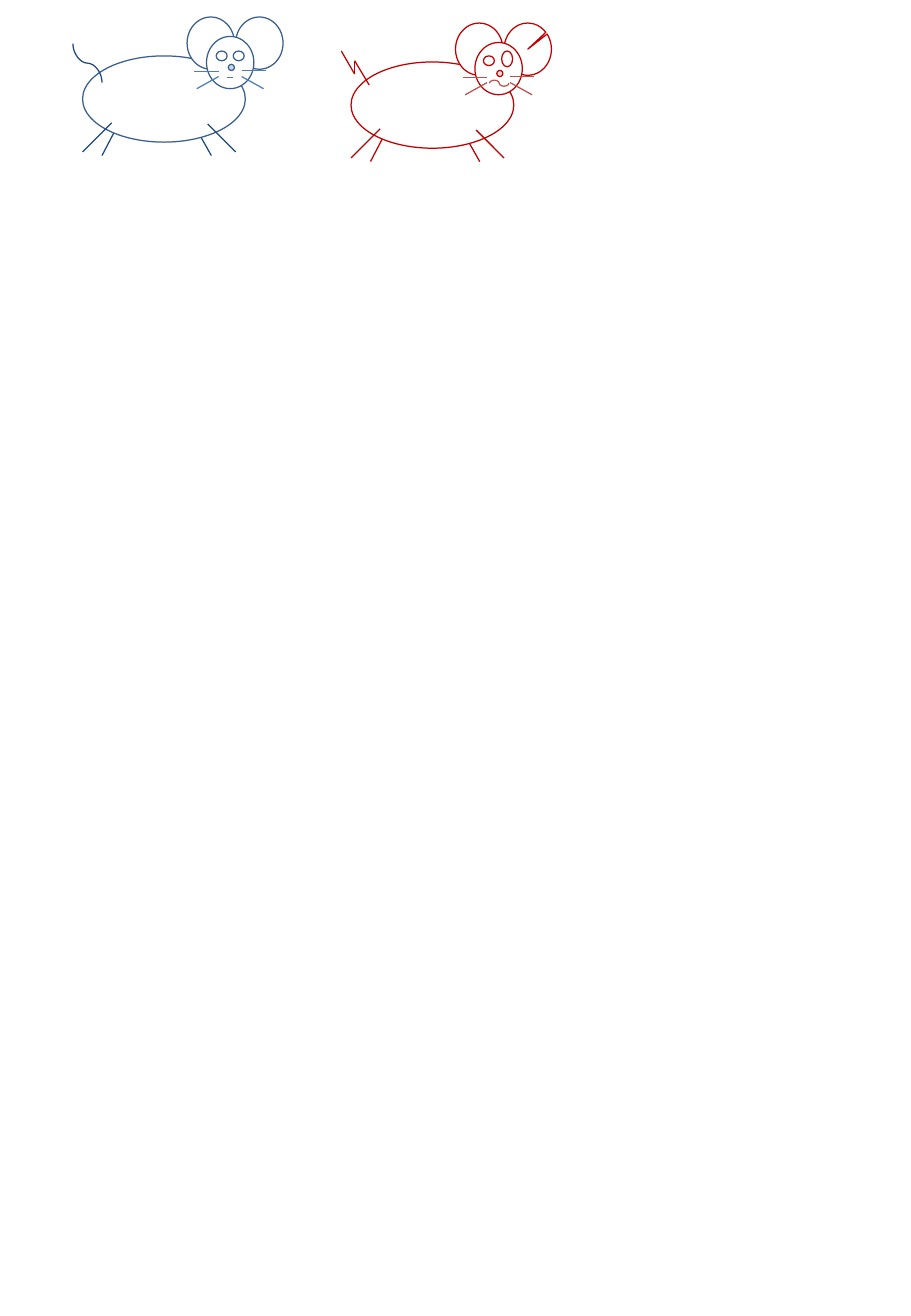
from lxml.etree import SubElement
from pptx import Presentation
from pptx.dml.color import RGBColor
from pptx.enum.shapes import MSO_CONNECTOR, MSO_SHAPE
from pptx.oxml.ns import qn
from pptx.util import Inches, Pt


def add_outline(group, kind, at, color, fill=None):
    shape = group.shapes.add_shape(kind, *[Inches(length) for length in at])
    shape.shadow.inherit = False
    shape.line.color.rgb = RGBColor.from_string(color)
    shape.line.width = Pt(0.75)
    if fill:
        shape.fill.solid()
        shape.fill.fore_color.rgb = RGBColor.from_string(fill)
    else:
        shape.fill.background()
    return shape


def add_line(group, points, color, kind=MSO_CONNECTOR.STRAIGHT):
    line = group.shapes.add_connector(kind, *[Inches(length) for length in points])
    line.line.color.rgb = RGBColor.from_string(color)
    line.line.width = Pt(0.75)
    SubElement(line._element.spPr, qn("a:effectLst"))
    return line


deck = Presentation()
deck.slide_width, deck.slide_height = Inches(7.5), Inches(10.83)
page = deck.slides.add_slide(deck.slide_layouts[6])

# Each mouse: offset, then colours of limbs, outlines, whiskers and nose
mice = [
    (0, 0, "1F497D", "3A5F8C", "4B7EBC", "C6D9F1"),
    (2.21, 0.05, "C00000", "C00000", "C0504D", "F2DCDB"),
]
far_legs = [(1.61, 1.05, 1.74, 1.28), (0.96, 1.05, 0.84, 1.28)]
near_legs = [(0.92, 1.01, 0.68, 1.25), (1.71, 1.02, 1.94, 1.25)]
whiskers = [(1.99, 0.58, 2.19, 0.58), (1.6, 0.59, 1.8, 0.59),
            (1.99, 0.63, 2.17, 0.73), (1.8, 0.63, 1.62, 0.73)]
body = (0.68, 0.46, 1.34, 0.71)
left_ear, right_ear, head = [(left, top, 0.39, 0.43) for left, top in
                             [(1.54, 0.14), (1.94, 0.14), (1.7, 0.3)]]
nose = (1.88, 0.53, 0.05, 0.05)

# Parts that both mice share
groups = []
for right, down, limb, outline, whisker, nose_fill in mice:
    group = page.shapes.add_group_shape()
    groups.append(group)
    for x1, y1, x2, y2 in far_legs:
        add_line(group, (x1 + right, y1 + down, x2 + right, y2 + down), limb)
    for part in [body, left_ear, right_ear, head, nose]:
        left, top, width, height = part
        torn = part is right_ear and right > 0
        shape = add_outline(group, MSO_SHAPE.PIE if torn else MSO_SHAPE.OVAL,
                            (left + right, top + down, width, height), outline,
                            nose_fill if part is nose else "FFFFFF")
        if torn:
            for index, degrees in enumerate([322, 317]):
                shape.adjustments[index] = degrees * 0.6
    for lines, color in [(near_legs, limb), (whiskers, whisker)]:
        for x1, y1, x2, y2 in lines:
            add_line(group, (x1 + right, y1 + down, x2 + right, y2 + down), color)

# Calm mouse: eyes, mouth and curved tail
calm, cross = groups
for left in [1.78, 1.92]:
    add_outline(calm, MSO_SHAPE.OVAL, (left, 0.42, 0.09, 0.08), "3A5F8C", "FFFFFF")
add_line(calm, (1.87, 0.64, 1.92, 0.64), "4B7EBC")
tail = add_line(calm, (0.56, 0.64, 0.88, 0.4), "1F497D", MSO_CONNECTOR.CURVE)
tail._element.spPr.find(qn("a:xfrm")).set("rot", str(270 * 60000))

# Cross mouse: uneven eyes, wavy mouth and jagged tail
for eye in [(4.13, 0.42, 0.09, 0.13), (3.98, 0.46, 0.09, 0.08)]:
    add_outline(cross, MSO_SHAPE.OVAL, eye, "C00000", "FFFFFF")
for left, flips in [(4.03, []), (4.03, ["flipH"]),
                    (4.11, ["flipV"]), (4.11, ["flipH", "flipV"])]:
    mouth = add_outline(cross, MSO_SHAPE.ARC, (left, 0.66, 0.08, 0.05), "C0504D")
    for flip in flips:
        mouth._element.spPr.find(qn("a:xfrm")).set(flip, "1")
bends = [(3.04, 0.7), (2.92, 0.5), (2.92, 0.61), (2.81, 0.42)]
for start, end in zip(bends, bends[1:]):
    add_line(cross, start + end, "C00000")

deck.save("out.pptx")
